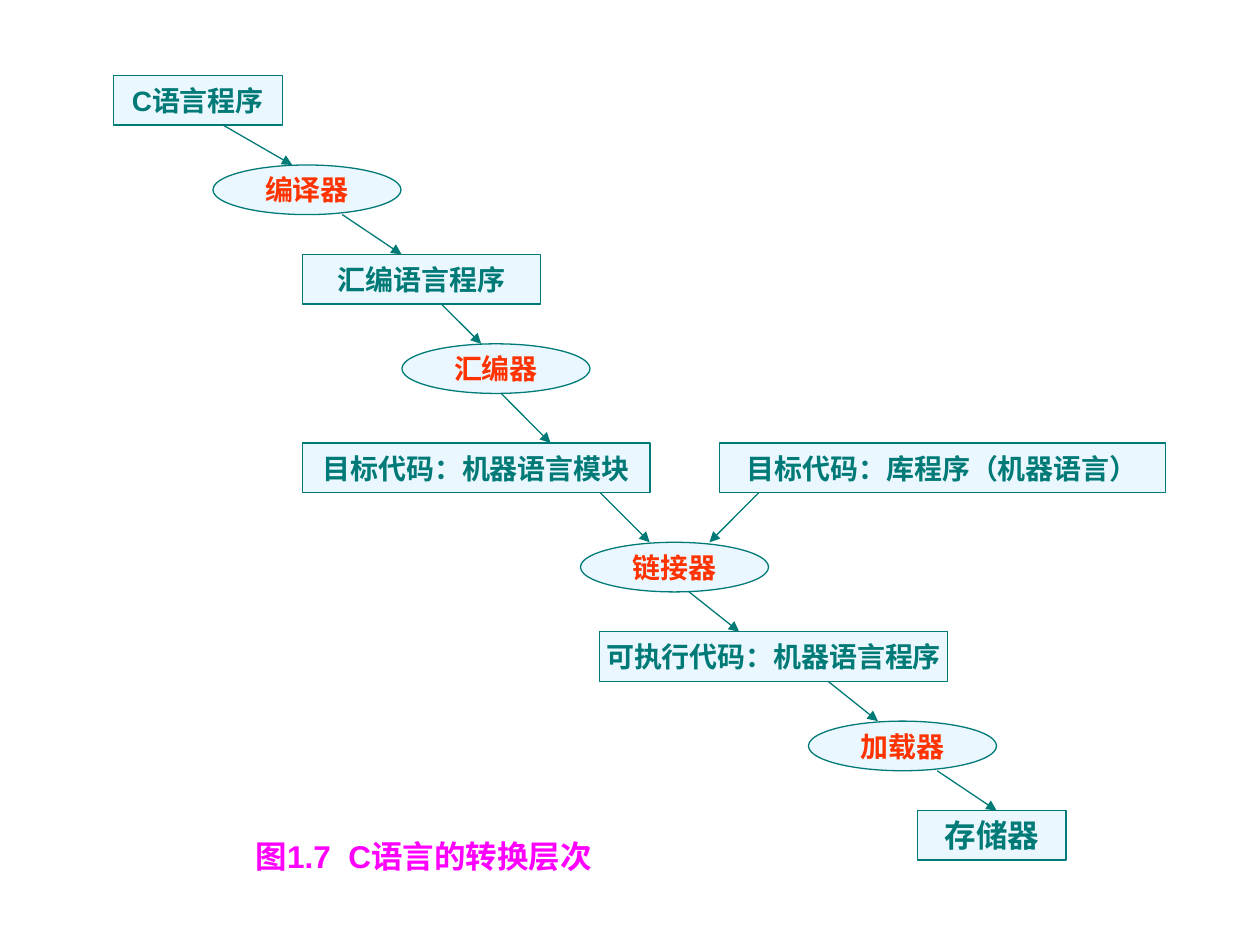
from lxml.etree import SubElement
from pptx import Presentation
from pptx.dml.color import RGBColor
from pptx.enum.shapes import MSO_CONNECTOR as Connector, MSO_SHAPE as Shape
from pptx.enum.text import MSO_ANCHOR as Anchor, PP_ALIGN as Align
from pptx.oxml.ns import qn
from pptx.util import Pt

# Content: key -> (text, row, left, width); lengths in points
PROGRAMS = {
    "source": ("C语言程序", 0, 64.8, 96.5),
    "assembly": ("汇编语言程序", 2, 172.8, 136),
    "module": ("目标代码：机器语言模块", 4, 172.8, 198.7),
    "library": ("目标代码：库程序（机器语言）", 4, 411.1, 254.9),
    "executable": ("可执行代码：机器语言程序", 6, 342.8, 198.7),
    "memory": ("存储器", 8, 524.2, 85),
}
TOOL_WIDTH = 107.5
TOOLS = {
    "compiler": ("编译器", 1, 121.7, TOOL_WIDTH),
    "assembler": ("汇编器", 3, 229.7, TOOL_WIDTH),
    "linker": ("链接器", 5, 331.7, TOOL_WIDTH),
    "loader": ("加载器", 7, 462, TOOL_WIDTH),
}
# (from, to, start x, end x): each arrow runs from a bottom edge to a top edge
FLOWS = [
    ("source", "compiler", 127.6, 167),
    ("compiler", "assembly", 195.6, 229.5),
    ("assembly", "assembler", 252.2, 275),
    ("assembler", "module", 286.4, 314.6),
    ("module", "linker", 343, 371.3),
    ("library", "linker", 433.6, 405.4),
    ("linker", "executable", 393.8, 422.4),
    ("executable", "loader", 473.2, 501.7),
    ("loader", "memory", 535.6, 569.5),
]
CAPTION = "图1.7  C语言的转换层次"

# Layout: the two rows around the object code stand a little further apart
TOP, HEIGHT, GAP, WIDE_GAP = 43.2, 28.35, 22.75, 28.35
WIDE_BEFORE_ROWS = (4, 5)

THEME = {
    "font": "Arial",
    "fill": RGBColor(0xEB, 0xF7, 0xFF),
    "program": RGBColor(0x00, 0x7A, 0x77),
    "tool": RGBColor(0xFF, 0x33, 0x00),
    "caption": RGBColor(0xFF, 0x00, 0xFF),
    "line_width": 0.75,
    "size": 16,
    "large_size": 18,
}


def row_top(row):
    wide = sum(row >= wide_row for wide_row in WIDE_BEFORE_ROWS)
    return TOP + row * (HEIGHT + GAP) + wide * (WIDE_GAP - GAP)


def add_text(paragraph, text, size, color):
    run = paragraph.add_run()
    run.text = text
    run.font.name = THEME["font"]
    run.font.size = Pt(size)
    run.font.bold = True
    run.font.color.rgb = color


def style_line(line):
    line.color.rgb = THEME["program"]
    line.width = Pt(THEME["line_width"])


def add_stage(slide, preset, stage, size, color):
    text, row, left, width = stage
    box = slide.shapes.add_shape(
        preset, Pt(left), Pt(row_top(row)), Pt(width), Pt(HEIGHT))
    box.shadow.inherit = False
    box.fill.solid()
    box.fill.fore_color.rgb = THEME["fill"]
    style_line(box.line)
    frame = box.text_frame
    frame.word_wrap = False
    frame.vertical_anchor = Anchor.MIDDLE
    frame.paragraphs[0].alignment = Align.CENTER
    add_text(frame.paragraphs[0], text, size, color)


def add_arrow(slide, start, end):
    arrow = slide.shapes.add_connector(
        Connector.STRAIGHT, *(Pt(value) for value in start + end))
    style_line(arrow.line)
    SubElement(arrow.line._get_or_add_ln(), qn("a:tailEnd"), type="triangle")
    SubElement(arrow._element.spPr, qn("a:effectLst"))


def main():
    deck = Presentation()
    deck.slide_width, deck.slide_height = Pt(720), Pt(540)
    slide = deck.slides.add_slide(deck.slide_layouts[6])

    # Programs as rectangles, tools as ellipses
    for key, stage in PROGRAMS.items():
        size = THEME["large_size" if key == "memory" else "size"]
        add_stage(slide, Shape.RECTANGLE, stage, size, THEME["program"])
    for stage in TOOLS.values():
        add_stage(slide, Shape.OVAL, stage, THEME["size"], THEME["tool"])

    # Arrows between stages
    rows = {key: stage[1] for key, stage in (PROGRAMS | TOOLS).items()}
    for source, target, start_x, end_x in FLOWS:
        add_arrow(slide, (start_x, row_top(rows[source]) + HEIGHT),
                  (end_x, row_top(rows[target])))

    # Caption
    caption = slide.shapes.add_textbox(Pt(139), Pt(474.5), Pt(278), Pt(28.8))
    caption.text_frame.word_wrap = True
    paragraph = caption.text_frame.paragraphs[0]
    paragraph.space_before = Pt(11.2)
    add_text(paragraph, CAPTION, THEME["large_size"], THEME["caption"])

    deck.save("out.pptx")


if __name__ == "__main__":
    main()
